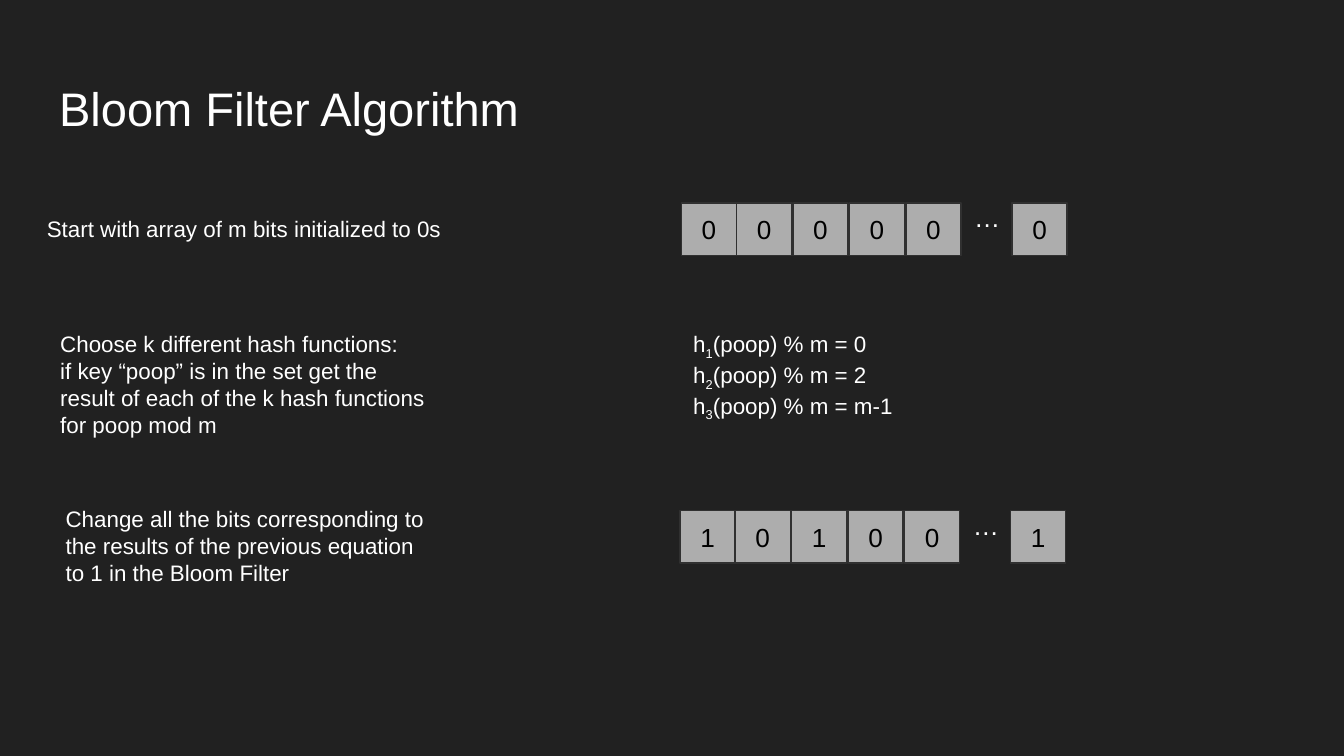
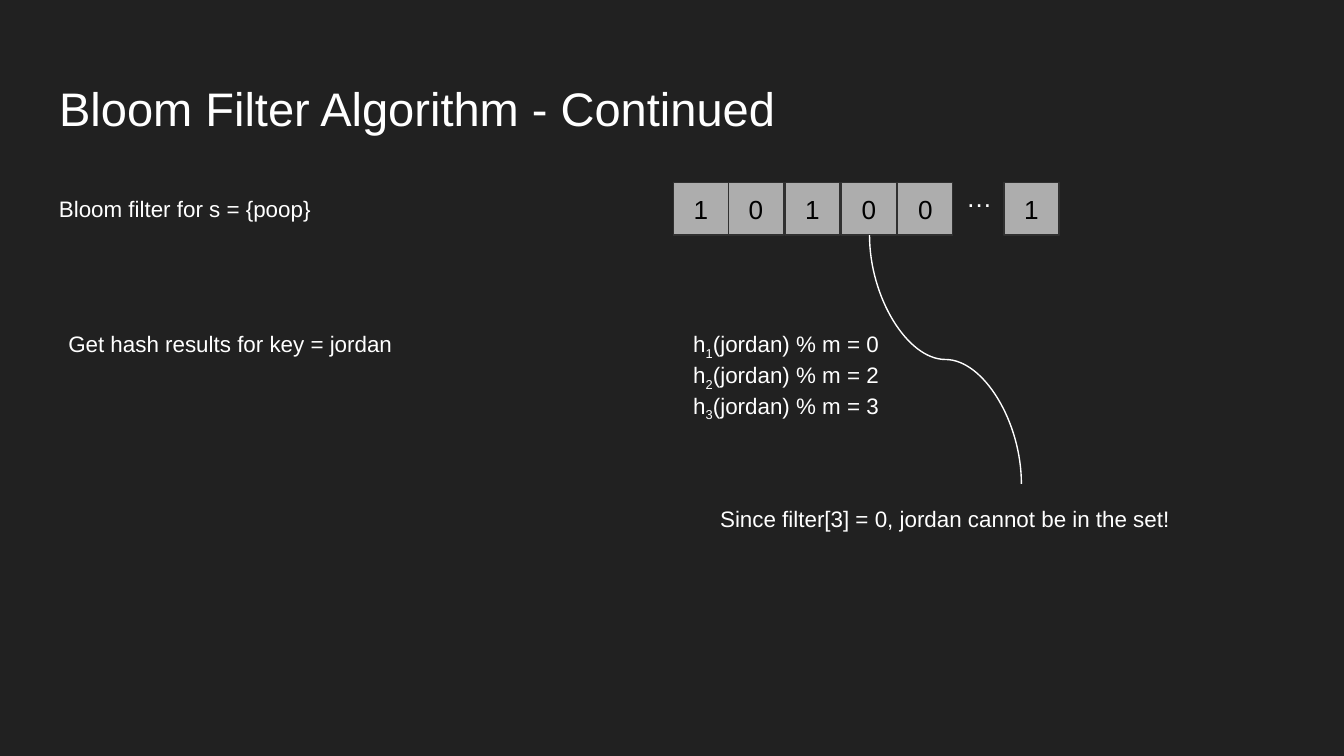
from lxml import etree
from pptx import Presentation
from pptx import util as u
from pptx.dml.color import RGBColor
from pptx.enum import shapes, text
from pptx.oxml.ns import qn

BACKGROUND = RGBColor(0x21, 0x21, 0x21)
CELL_FILL = RGBColor(0xAD, 0xAD, 0xAD)
CELL_EDGE = RGBColor(0x30, 0x30, 0x30)
WHITE = RGBColor(0xFF, 0xFF, 0xFF)
BLACK = RGBColor(0x00, 0x00, 0x00)
FONT = "Arial"
BODY_SIZE = 12
BIT_SIZE = 14
TITLE_SIZE = 25.2
INSET = 0.1
CELL_W, CELL_H, PITCH = 0.41, 0.39, 0.42
ELLIPSIS_X, LAST_BIT_X = 2.08, 2.46


def prepare_frame(frame, anchor=text.MSO_ANCHOR.TOP):
    frame.word_wrap = True
    frame.vertical_anchor = anchor
    frame.margin_left = frame.margin_right = u.Inches(INSET)
    frame.margin_top = frame.margin_bottom = u.Inches(INSET)


def add_run(paragraph, words, size=BODY_SIZE, color=WHITE, subscript=False):
    run = paragraph.add_run()
    run.text = words
    run.font.name = FONT
    run.font.size = u.Pt(size)
    run.font.color.rgb = color
    if subscript:
        run._r.get_or_add_rPr().set("baseline", "-25000")


def add_label(slide, x, y, w, h, lines, size=BODY_SIZE):
    label = slide.shapes.add_textbox(*map(u.Inches, (x, y, w, h)))
    frame = label.text_frame
    prepare_frame(frame)
    for i, line in enumerate(lines):
        paragraph = frame.add_paragraph() if i else frame.paragraphs[0]
        add_run(paragraph, line, size)


def add_hashes(slide, x, y, key, results):
    box = slide.shapes.add_textbox(*map(u.Inches, (x, y, 2.94, 0.81)))
    frame = box.text_frame
    prepare_frame(frame)
    for i, result in enumerate(results):
        paragraph = frame.add_paragraph() if i else frame.paragraphs[0]
        add_run(paragraph, "h")
        add_run(paragraph, str(i + 1), subscript=True)
        add_run(paragraph, f"({key}) % m = {result}")


def add_bit(slide, x, y, bit):
    cell = slide.shapes.add_shape(
        shapes.MSO_SHAPE.RECTANGLE, *map(u.Inches, (x, y, CELL_W, CELL_H)))
    cell.shadow.inherit = False
    cell.fill.solid()
    cell.fill.fore_color.rgb = CELL_FILL
    cell.line.color.rgb = CELL_EDGE
    cell.line.width = u.Pt(0.75)
    prepare_frame(cell.text_frame, text.MSO_ANCHOR.MIDDLE)
    paragraph = cell.text_frame.paragraphs[0]
    paragraph.alignment = text.PP_ALIGN.CENTER
    add_run(paragraph, bit, BIT_SIZE, BLACK)


def add_bit_array(slide, x, y, bits):
    for i, bit in enumerate(bits[:-1]):
        add_bit(slide, x + i * PITCH - (0.01 if i else 0), y, bit)
    add_bit(slide, x + LAST_BIT_X, y, bits[-1])
    add_label(slide, x + ELLIPSIS_X, y - 0.11, CELL_W, 0.44, ["…"], BIT_SIZE)


def add_falling_curve(slide, x, y, w, h):
    mid_x, mid_y = x + w / 2, y + h / 2
    curve = slide.shapes.add_connector(
        shapes.MSO_CONNECTOR.CURVE,
        *map(u.Inches, (mid_x + h / 2, mid_y - w / 2,
                        mid_x - h / 2, mid_y + w / 2)))
    curve.line.color.rgb = WHITE
    curve.line.width = u.Pt(0.75)
    properties = curve._element.spPr
    properties.find(qn("a:xfrm")).set("rot", str(270 * 60000))
    etree.SubElement(properties, qn("a:effectLst"))


def add_titled_slide(deck, heading):
    slide = deck.slides.add_slide(deck.slide_layouts[5])
    slide.background.fill.solid()
    slide.background.fill.fore_color.rgb = BACKGROUND
    title = slide.shapes.title
    title.left, title.top, title.width, title.height = map(
        u.Inches, (0.34, 0.49, 9.32, 0.63))
    prepare_frame(title.text_frame)
    title.text_frame.auto_size = text.MSO_AUTO_SIZE.NONE
    paragraph = title.text_frame.paragraphs[0]
    paragraph.alignment = text.PP_ALIGN.LEFT
    add_run(paragraph, heading, TITLE_SIZE)
    return slide


def build_algorithm(deck):
    slide = add_titled_slide(deck, "Bloom Filter Algorithm")
    add_bit_array(slide, 5.07, 1.51, "000000")
    add_label(slide, 0.25, 1.5, 3.79, 0.4,
              ["Start with array of m bits initialized to 0s"])
    add_label(slide, 0.35, 2.36, 2.94, 1.01, [
        "Choose k different hash functions:",
        "if key “poop” is in the set get the result of each of "
        "the k hash functions for poop mod m"])
    add_hashes(slide, 5.06, 2.36, "poop", ["0", "2", "m-1"])
    add_label(slide, 0.39, 3.66, 2.94, 0.81, [
        "Change all the bits corresponding to the results of the "
        "previous equation to 1 in the Bloom Filter"])
    add_bit_array(slide, 5.06, 3.8, "101001")


def build_continued(deck):
    slide = add_titled_slide(deck, "Bloom Filter Algorithm - Continued")
    add_hashes(slide, 5.06, 2.36, "jordan", ["0", "2", "3"])
    add_label(slide, 0.34, 1.35, 2.94, 0.4, ["Bloom filter for s = {poop}"])
    add_bit_array(slide, 5.01, 1.36, "101001")
    add_label(slide, 0.41, 2.36, 2.94, 0.4,
              ["Get hash results for key = jordan"])
    add_falling_curve(slide, 6.47, 1.75, 1.13, 1.85)
    add_label(slide, 5.26, 3.66, 3.83, 0.4,
              ["Since filter[3] = 0, jordan cannot be in the set!"])


def main():
    deck = Presentation()
    deck.slide_width = u.Inches(10)
    deck.slide_height = deck.slide_width * 9 // 16
    build_algorithm(deck)
    build_continued(deck)
    deck.save("out.pptx")


if __name__ == "__main__":
    main()
